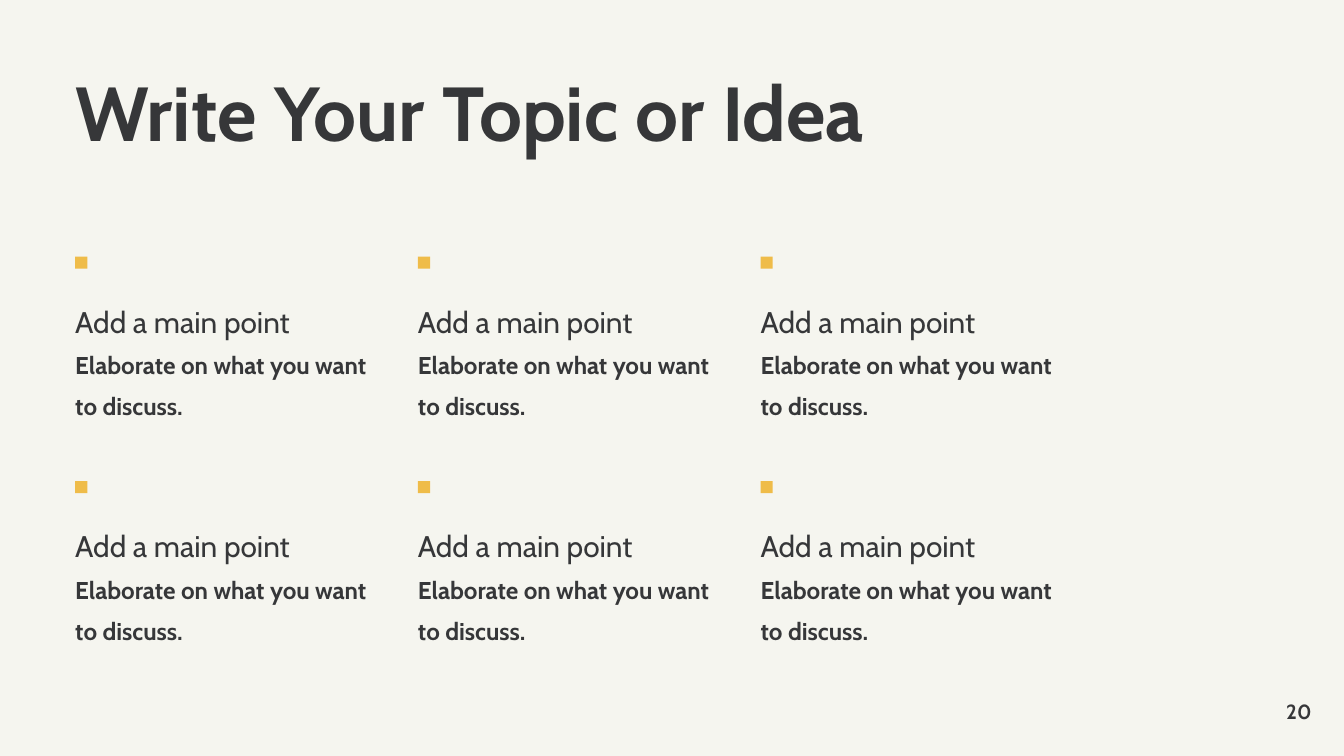
from itertools import product
from pptx import Presentation
from pptx.dml.color import RGBColor
from pptx.enum.shapes import MSO_SHAPE
from pptx.enum.text import MSO_ANCHOR, MSO_AUTO_SIZE, PP_ALIGN
from pptx.util import Inches, Pt

color = {"paper": "F5F5EF", "ink": "363739", "gold": "EFBC49"}
left, top = 0.56, 1.91
col, row = 2.55, 1.67
side, drop = 0.09, 0.24


def style(font, size, bold):
    font.name = "Cabin"
    font.size = Pt(size)
    font.bold = bold
    font.color.rgb = RGBColor.from_string(color["ink"])


def setup(frame, anchor=MSO_ANCHOR.TOP):
    frame.margin_left = frame.margin_right = 0
    frame.margin_top = frame.margin_bottom = 0
    frame.word_wrap = True
    frame.auto_size = MSO_AUTO_SIZE.NONE
    frame.vertical_anchor = anchor
    return frame.paragraphs[0]


deck = Presentation()
deck.slide_width = Inches(10)
deck.slide_height = deck.slide_width * 9 // 16
slide = deck.slides.add_slide(deck.slide_layouts[5])
slide.background.fill.solid()
slide.background.fill.fore_color.rgb = RGBColor.from_string(color["paper"])

title = slide.shapes.title
title.left, title.top = Inches(left), Inches(left)
title.width, title.height = Inches(7.09), Inches(0.79)
title.text_frame.text = "Write Your Topic or Idea"
para = setup(title.text_frame)
para.alignment = PP_ALIGN.LEFT
para.line_spacing = 0.9
style(para.font, 41, True)

for r, c in product(range(2), range(3)):
    x, y = left + c * col, top + r * row
    mark = slide.shapes.add_shape(
        MSO_SHAPE.RECTANGLE, Inches(x), Inches(y), Inches(side), Inches(side))
    mark.shadow.inherit = False
    mark.fill.solid()
    mark.fill.fore_color.rgb = RGBColor.from_string(color["gold"])
    mark.line.fill.background()

    box = slide.shapes.add_textbox(
        Inches(x), Inches(y + drop), Inches(2.31), Inches(1.05))
    para = setup(box.text_frame)
    para.line_spacing = 1.4
    head = para.add_run()
    head.text = "Add a main point"
    style(head.font, 16, False)
    para.add_line_break()
    body = para.add_run()
    body.text = "Elaborate on what you want to discuss."
    style(body.font, 13, True)

page = slide.shapes.add_textbox(
    Inches(9.16), Inches(5.19), Inches(0.6), Inches(0.2))
para = setup(page.text_frame, MSO_ANCHOR.MIDDLE)
para.text = "20"
para.alignment = PP_ALIGN.RIGHT
style(para.font, 11, True)

deck.save("out.pptx")
